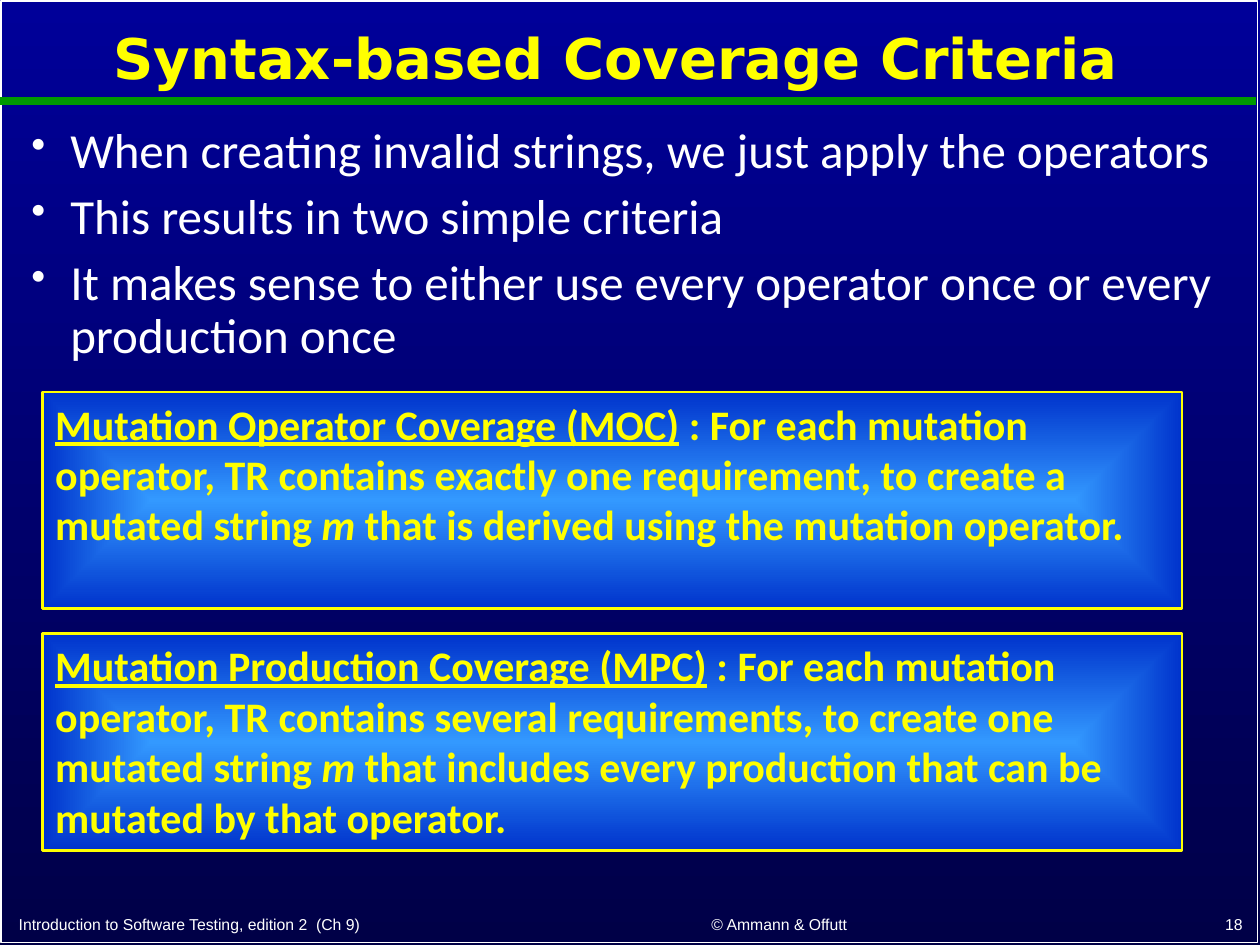
from dataclasses import dataclass

from lxml.etree import SubElement
from pptx import Presentation
from pptx.dml.color import RGBColor
from pptx.enum.shapes import MSO_CONNECTOR as Conn, MSO_SHAPE as Shape
from pptx.enum.text import MSO_ANCHOR as Anchor, PP_ALIGN as Align
from pptx.oxml.ns import qn
from pptx.util import Inches, Pt

W, H = 10, 7.5
COLORS = {
    "bg_top": "000099", "bg_bottom": "000047", "white": "FFFFFF",
    "yellow": "FFFF00", "green": "009900", "glow": "3399FF", "edge": "0033CC",
}


@dataclass
class Criterion:
    name: str
    before: str
    symbol: str
    after: str


@dataclass
class Footer:
    text: str
    left: float
    width: float
    align: Align


BULLETS = [
    "When creating invalid strings, we just apply the operators",
    "This results in two simple criteria",
    "It makes sense to either use every operator once or every production once",
]
CRITERIA = [
    Criterion("Mutation Operator Coverage (MOC)",
              " : For each mutation operator, TR contains exactly one requirement, "
              "to create a mutated string ", "m",
              " that is derived using the mutation operator."),
    Criterion("Mutation Production Coverage (MPC)",
              " : For each mutation operator, TR contains several requirements, "
              "to create one mutated string ", "m",
              " that includes every production that can be mutated by that operator."),
]
FOOTERS = [
    Footer("Introduction to Software Testing, edition 2\u00a0 (Ch 9)".replace("\u00a0", " "),
           0.05, 4.35, Align.LEFT),
    Footer("© Ammann & Offutt", 4.6, 3.17, Align.CENTER),
    Footer("18", 7.88, 2.08, Align.RIGHT),
]
# Criterion boxes: one column, equal rows
BOX_LEFT, BOX_TOP, BOX_W, BOX_H, BOX_PITCH = 0.34, 3.11, 9.04, 1.72, 1.92


def rgb(name: str) -> RGBColor:
    return RGBColor.from_string(COLORS[name])


def add_run(p, text: str, font: str, size: float, color: str, bold=None,
            italic=None, underline=None) -> None:
    r = p.add_run()
    r.text = text
    f = r.font
    f.name, f.size, f.color.rgb = font, Pt(size), rgb(color)
    f.bold, f.italic, f.underline = bold, italic, underline


def add_text_box(slide, left: float, top: float, width: float, height: float, anchor: Anchor):
    s = slide.shapes.add_textbox(Inches(left), Inches(top), Inches(width), Inches(height))
    tf = s.text_frame
    tf.word_wrap, tf.vertical_anchor = True, anchor
    return tf


def add_rect(slide, left: float, top: float, width: float, height: float,
             color: str, weight: float):
    s = slide.shapes.add_shape(Shape.RECTANGLE, Inches(left), Inches(top),
                               Inches(width), Inches(height))
    s.shadow.inherit = False
    s.line.color.rgb, s.line.width = rgb(color), Pt(weight)
    return s


def set_gradient(fill, start: str, end: str) -> None:
    fill.gradient()
    for stop, color in zip(fill.gradient_stops, (start, end)):
        stop.color.rgb = rgb(color)


def add_bullet(p) -> None:
    pPr = p._p.get_or_add_pPr()
    pPr.set("marL", str(Inches(0.31)))
    pPr.set("indent", str(-Inches(0.31)))
    SubElement(pPr, qn("a:buSzPct")).set("val", "85000")
    SubElement(pPr, qn("a:buChar")).set("char", "•")


def add_criterion(slide, row: int, c: Criterion) -> None:
    s = add_rect(slide, BOX_LEFT, BOX_TOP + row * BOX_PITCH, BOX_W, BOX_H, "yellow", 1.5)
    set_gradient(s.fill, "glow", "edge")
    # Let the gradient spread from the centre to the edges
    grad = s._element.spPr.find(qn("a:gradFill"))
    grad.remove(grad.find(qn("a:lin")))
    spread = SubElement(grad, qn("a:path"))
    spread.set("path", "shape")
    center = SubElement(spread, qn("a:fillToRect"))
    for side in "ltrb":
        center.set(side, "50000")

    tf = s.text_frame
    tf.word_wrap, tf.vertical_anchor = True, Anchor.TOP
    p = tf.paragraphs[0]
    p.alignment = Align.LEFT
    style = ("Calibri", 24, "yellow", True)
    add_run(p, c.name, *style, underline=True)
    add_run(p, c.before, *style)
    add_run(p, c.symbol, *style, italic=True)
    add_run(p, c.after, *style)


def main() -> None:
    prs = Presentation()
    prs.slide_width, prs.slide_height = Inches(W), Inches(H)
    slide = prs.slides.add_slide(prs.slide_layouts[6])

    # Background, frame and rule under the title
    bg = slide.background.fill
    set_gradient(bg, "bg_top", "bg_bottom")
    bg.gradient_angle = 270
    add_rect(slide, 0.01, 0.01, W - 0.03, H - 0.03, "white", 1).fill.background()
    rule = slide.shapes.add_connector(Conn.STRAIGHT, 0, Inches(0.8), Inches(9.97), Inches(0.8))
    rule.line.color.rgb, rule.line.width = rgb("green"), Pt(4.5)
    SubElement(rule._element.spPr, qn("a:effectLst"))

    # Footer
    for f in FOOTERS:
        p = add_text_box(slide, f.left, 7.18, f.width, 0.28, Anchor.BOTTOM).paragraphs[0]
        p.alignment = f.align
        add_run(p, f.text, "Arial", 9, "white")

    # Title
    p = add_text_box(slide, 0.64, 0.04, 8.5, 0.9, Anchor.MIDDLE).paragraphs[0]
    p.alignment, p.line_spacing = Align.CENTER, 0.9
    add_run(p, "Syntax-based Coverage Criteria", "DejaVu Sans", 32, "yellow", True)

    # Bullets
    tf = add_text_box(slide, 0.15, 0.95, 9.7, 1.86, Anchor.TOP)
    for i, text in enumerate(BULLETS):
        p = tf.add_paragraph() if i else tf.paragraphs[0]
        p.line_spacing, p.space_before = 0.9, Pt(7.5)
        add_bullet(p)
        add_run(p, text, "Calibri", 28, "white")

    # Criteria
    for row, criterion in enumerate(CRITERIA):
        add_criterion(slide, row, criterion)

    prs.save("out.pptx")


if __name__ == "__main__":
    main()
